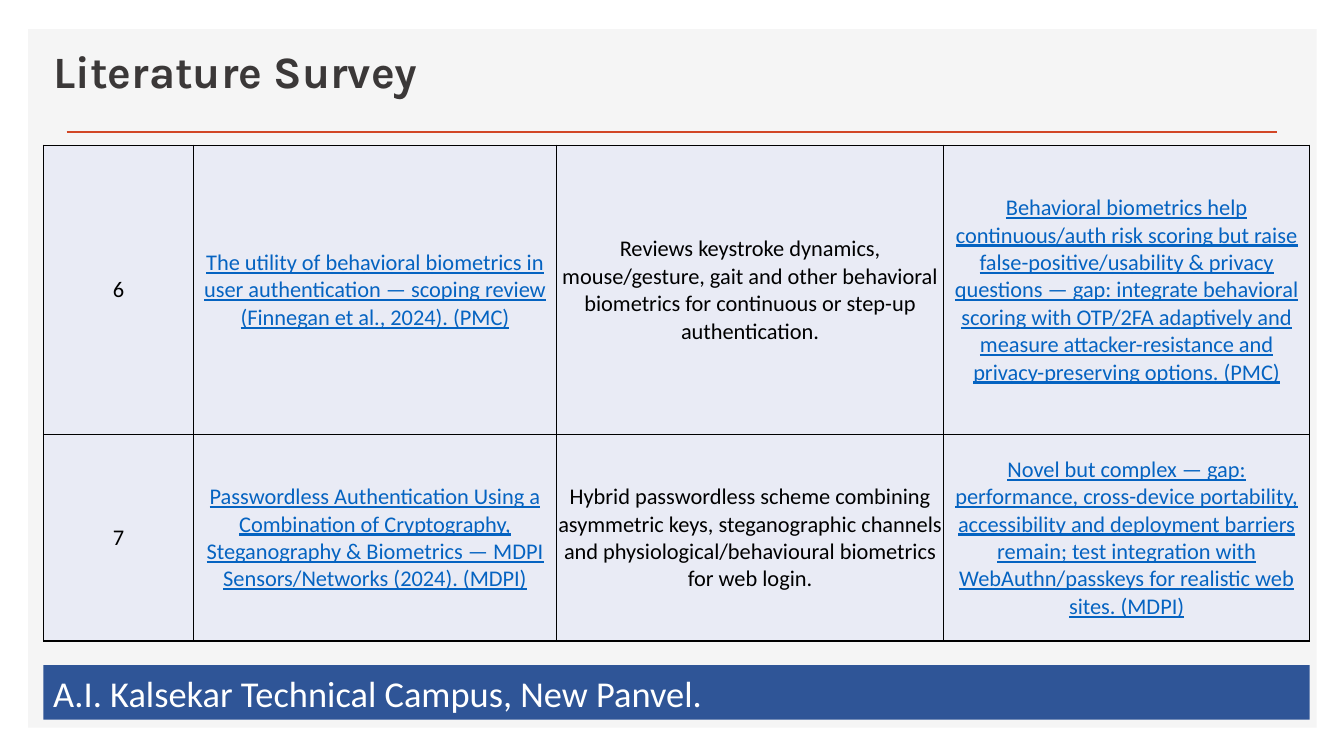
"""Build the Literature Survey slide with its table of two papers."""
from pptx import Presentation
from pptx.dml.color import RGBColor
from pptx.enum.shapes import MSO_CONNECTOR, MSO_SHAPE
from pptx.enum.text import MSO_ANCHOR, PP_ALIGN
from pptx.oxml import parse_xml
from pptx.oxml.ns import nsdecls, qn
from pptx.util import Inches, Pt

WHITE = RGBColor(0xFF, 0xFF, 0xFF)
BLACK = RGBColor(0x00, 0x00, 0x00)
PANEL = RGBColor(0xF5, 0xF5, 0xF5)
ORANGE = RGBColor(0xD2, 0x47, 0x26)
CHARCOAL = RGBColor(0x3B, 0x38, 0x38)
NAVY = RGBColor(0x2F, 0x55, 0x97)
CELL = RGBColor(0xE9, 0xEB, 0xF5)
LINK = RGBColor(0x05, 0x63, 0xC1)

LEFT, WIDTH = 0.43, 12.56
COLS = [1.49, 3.6, 3.84, 3.63]
ROWS = [2.87, 2.05]
PAPERS = [
    ("6",
     "The utility of behavioral biometrics in user authentication — scoping review "
     "(Finnegan et al., 2024). (PMC)",
     "Reviews keystroke dynamics, mouse/gesture, gait and other behavioral biometrics "
     "for continuous or step-up authentication.",
     "Behavioral biometrics help continuous/auth risk scoring but raise "
     "false-positive/usability & privacy questions — gap: integrate behavioral scoring "
     "with OTP/2FA adaptively and measure attacker-resistance and privacy-preserving "
     "options. (PMC)"),
    ("7",
     "Passwordless Authentication Using a Combination of Cryptography, Steganography & "
     "Biometrics — MDPI Sensors/Networks (2024). (MDPI)",
     "Hybrid passwordless scheme combining asymmetric keys, steganographic channels and "
     "physiological/behavioural biometrics for web login.",
     "Novel but complex — gap: performance, cross-device portability, accessibility and "
     "deployment barriers remain; test integration with WebAuthn/passkeys for realistic "
     "web sites. (MDPI)"),
]


def add_text(tf, text, color, align=PP_ALIGN.LEFT, **font):
    p = tf.paragraphs[0]
    p.alignment = align
    r = p.add_run()
    r.text = text
    r.font.color.rgb = color
    for name, value in font.items():
        setattr(r.font, name, value)
    return p


def add_rect(s, left, top, width, height, color):
    sp = s.shapes.add_shape(MSO_SHAPE.RECTANGLE, Inches(left), Inches(top),
                            Inches(width), Inches(height))
    sp.shadow.inherit = False
    sp.fill.solid()
    sp.fill.fore_color.rgb = color
    sp.line.fill.background()
    return sp


prs = Presentation()
prs.slide_width, prs.slide_height = Inches(13.33), Inches(7.5)
s = prs.slides.add_slide(prs.slide_layouts[6])
s.background.fill.solid()
s.background.fill.fore_color.rgb = WHITE

add_rect(s, 0.28, 0.29, 12.78, 6.93, PANEL)

rule = s.shapes.add_connector(MSO_CONNECTOR.STRAIGHT, Inches(0.66), Inches(1.31),
                              Inches(12.67), Inches(1.31))
rule.line.color.rgb = ORANGE
rule.line.width = Pt(2)
rule.element.spPr.append(parse_xml(f"<a:effectLst {nsdecls('a')}/>"))

title = s.shapes.add_textbox(Inches(LEFT), Inches(0.32), Inches(11.76), Inches(0.7))
tf = title.text_frame
tf.word_wrap = True
tf.vertical_anchor = MSO_ANCHOR.BOTTOM
p = add_text(tf, "Literature Survey", CHARCOAL, name="Karla", size=Pt(32), bold=True)
p.line_spacing = 0.9

footer = add_rect(s, LEFT, 6.6, WIDTH, 0.54, NAVY)
footer.text_frame.word_wrap = True
footer.text_frame.vertical_anchor = MSO_ANCHOR.MIDDLE
add_text(footer.text_frame, "A.I. Kalsekar Technical Campus, New Panvel.", WHITE,
         name="Calibri", size=Pt(26))

table = s.shapes.add_table(len(ROWS), len(COLS), Inches(LEFT), Inches(1.44),
                           Inches(WIDTH), Inches(sum(ROWS))).table
table.first_row = table.horz_banding = False
for column, width in zip(table.columns, COLS):
    column.width = Inches(width)
for row, height in zip(table.rows, ROWS):
    row.height = Inches(height)

cell_format = {"margin_left": Inches(0.01), "margin_right": Inches(0.01),
               "margin_top": Inches(0.01), "margin_bottom": 0,
               "vertical_anchor": MSO_ANCHOR.MIDDLE}
for i, paper in enumerate(PAPERS):
    for j, text in enumerate(paper):
        cell = table.cell(i, j)
        for name, value in cell_format.items():
            setattr(cell, name, value)
        linked = j in (1, 3)
        add_text(cell.text_frame, text, LINK if linked else BLACK, PP_ALIGN.CENTER,
                 name="Calibri", size=Pt(16), underline=linked)
        tcPr = cell._tc.get_or_add_tcPr()
        for side in ("lnL", "lnR", "lnT", "lnB"):
            tcPr.append(parse_xml(
                f'<a:{side} {nsdecls("a")} w="{Pt(1)}"><a:solidFill>'
                f'<a:srgbClr val="{BLACK}"/></a:solidFill></a:{side}>'))
        cell.fill.solid()
        cell.fill.fore_color.rgb = CELL
        tcPr.append(tcPr.find(qn("a:solidFill")))

prs.save("out.pptx")
